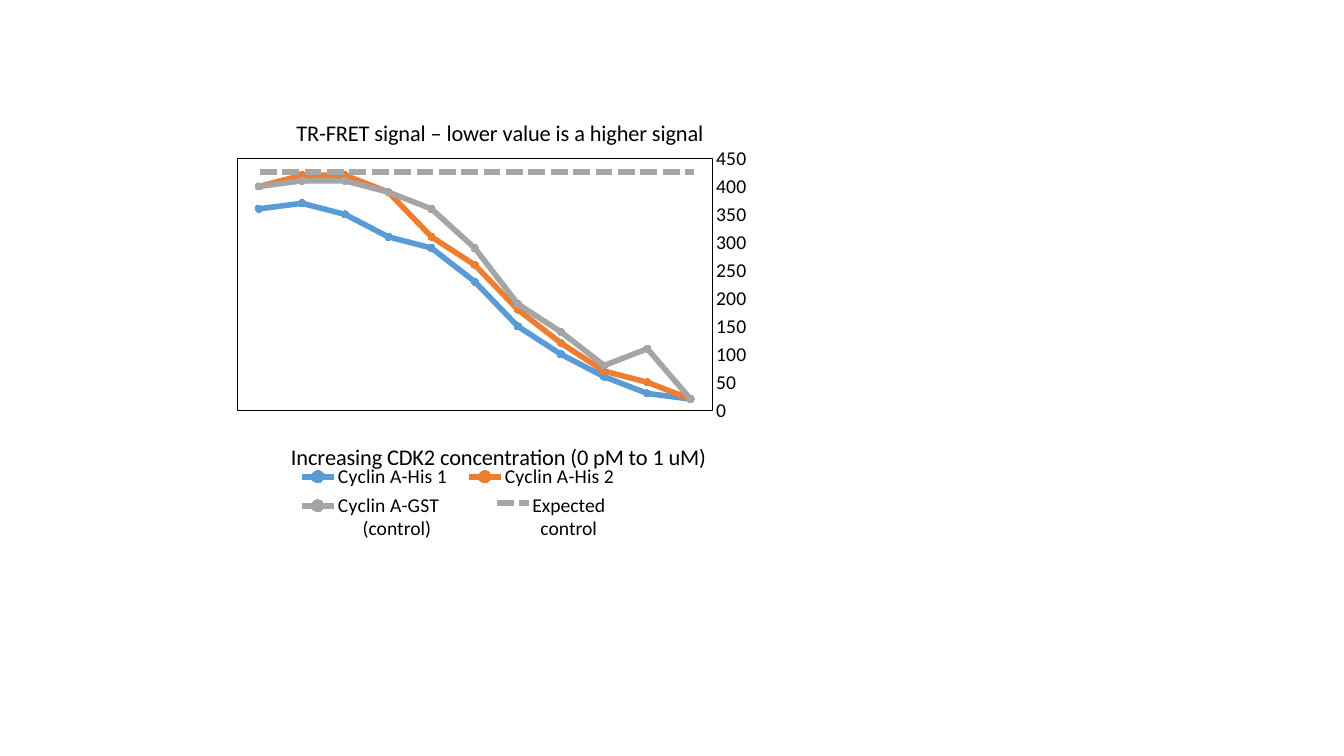
from pptx import Presentation
from pptx.chart.data import CategoryChartData
from pptx.dml.color import RGBColor
from pptx.enum.chart import XL_CHART_TYPE, XL_LEGEND_POSITION, XL_MARKER_STYLE, XL_TICK_MARK
from pptx.enum.dml import MSO_LINE
from pptx.enum.shapes import MSO_CONNECTOR
from pptx.enum.text import PP_ALIGN
from pptx.oxml import parse_xml
from pptx.oxml.ns import nsdecls, qn
from pptx.util import Cm, Pt

FONT = "Calibri"
COLORS = {"ink": "000000", "blue": "5B9BD5", "orange": "ED7D31", "gray": "A5A5A5", "dash": "A6A6A6"}
SERIES = [
    ("Cyclin A-His 1", "blue", (20, 30, 60, 100, 150, 230, 290, 310, 350, 370, 360)),
    ("Cyclin A-His 2", "orange", (20, 50, 70, 120, 180, 260, 310, 390, 420, 420, 400)),
    ("Cyclin A-GST", "gray", (20, 110, 80, 140, 190, 290, 360, 390, 410, 410, 400)),
]


def color(name):
    """Return a named colour."""
    return RGBColor.from_string(COLORS[name])


def style(font, size):
    """Set the common look of a font."""
    font.name, font.size, font.bold = FONT, Pt(size), False
    font.color.rgb = color("ink")


def write(frame, text, size=14, align=None):
    """Fill a text frame with one formatted paragraph."""
    para = frame.paragraphs[0]
    para.alignment = align
    run = para.add_run()
    run.text = text
    style(run.font, size)


def place(node, after, spots, inner=False):
    """Give a chart part a manual layout in fractions of the chart."""
    for old in node.findall(qn("c:layout")):
        node.remove(old)
    target = '<c:layoutTarget val="inner"/>' if inner else ""
    modes = "".join(f'<c:{key}Mode val="edge"/>' for key in "xy")
    sizes = "".join(f'<c:{key} val="{spot}"/>' for key, spot in zip("xywh", spots))
    layout = parse_xml(f'<c:layout {nsdecls("c")}><c:manualLayout>{target}{modes}{sizes}'
                       '</c:manualLayout></c:layout>')
    index = node.index(node.find(qn(after))) + 1 if after else 0
    node.insert(index, layout)


def plot(slide, left, top, width, height):
    """Draw the line chart with its titles, axes and legend."""
    data = CategoryChartData(number_format="0")
    data.categories = [str(step) for step in range(1, 12)]
    for name, _, vals in SERIES:
        data.add_series(name, vals)
    chart = slide.shapes.add_chart(XL_CHART_TYPE.LINE_MARKERS, Cm(left), Cm(top),
                                   Cm(width), Cm(height), data).chart
    style(chart.font, 14)
    chart.plots[0].vary_by_categories = False

    for line, (_, tone, _) in zip(chart.plots[0].series, SERIES):
        line.smooth = False
        line.format.line.width = Pt(4)
        line.format.line.color.rgb = color(tone)
        line.marker.style, line.marker.size = XL_MARKER_STYLE.CIRCLE, 5
        fill = line.marker.format.fill
        fill.solid()
        fill.fore_color.rgb = color(tone)
        line.marker.format.line.color.rgb = color(tone)

    cats, axis = chart.category_axis, chart.value_axis
    cats.reverse_order, cats.visible = True, False
    axis.minimum_scale, axis.maximum_scale, axis.major_unit = 0, 450, 50
    axis.has_major_gridlines = False
    axis.major_tick_mark = axis.minor_tick_mark = XL_TICK_MARK.NONE
    axis.format.line.fill.background()
    labels = axis.tick_labels
    labels.number_format, labels.number_format_is_linked = "0", False
    style(labels.font, 14)

    for title, text, spots in (
        (chart.chart_title, "TR-FRET signal – lower value is a higher signal", (0.13, 0.04)),
        (cats.axis_title, "Increasing CDK2 concentration (0 pM to 1 uM)", (0.12, 0.76)),
    ):
        write(title.text_frame, text, size=16)
        place(title._element, "c:tx", spots)

    chart.has_legend = True
    legend = chart.legend
    legend.position, legend.include_in_layout = XL_LEGEND_POSITION.BOTTOM, False
    style(legend.font, 14)
    place(legend._element, "c:legendPos", (0.12, 0.81, 0.62, 0.14))

    area = chart._chartSpace.chart.plotArea
    place(area, None, (0.03, 0.14, 0.86, 0.56), inner=True)
    area.append(parse_xml(
        f'<c:spPr {nsdecls("c", "a")}><a:noFill/><a:ln w="9525"><a:solidFill>'
        f'<a:srgbClr val="{COLORS["ink"]}"/></a:solidFill></a:ln></c:spPr>'))


def dash(slide, start, end, level):
    """Draw a level dashed line."""
    line = slide.shapes.add_connector(MSO_CONNECTOR.STRAIGHT, Cm(start), Cm(level), Cm(end), Cm(level))
    line.line.width = Pt(4)
    line.line.color.rgb = color("dash")
    line.line.dash_style = MSO_LINE.SQUARE_DOT
    line._element.spPr.append(parse_xml(f'<a:effectLst {nsdecls("a")}/>'))


def note(slide, text, left, top, width, height, **look):
    """Place a wrapped label."""
    frame = slide.shapes.add_textbox(Cm(left), Cm(top), Cm(width), Cm(height)).text_frame
    frame.word_wrap = True
    write(frame, text, **look)


def figure(slide, left, top, width, height):
    """Build the chart with the expected control and its key."""
    plot(slide, left, top, width, height)
    dash(slide, left + 0.99, left + 11.94, top + 1.93)
    dash(slide, left + 6.96, left + 7.78, top + 10.26)
    note(slide, "Expected control", left + 7.39, top + 9.88, 2.77, 1.45, align=PP_ALIGN.CENTER)
    note(slide, "(control)", left + 3.33, top + 10.47, 2.77, 0.86)


def main():
    """Build and save the slide."""
    deck = Presentation()
    deck.slide_width, deck.slide_height = Cm(33.87), Cm(19.05)
    figure(deck.slides.add_slide(deck.slide_layouts[6]), 5.56, 2.41, 13.92, 11.33)
    deck.save("out.pptx")


if __name__ == "__main__":
    main()
